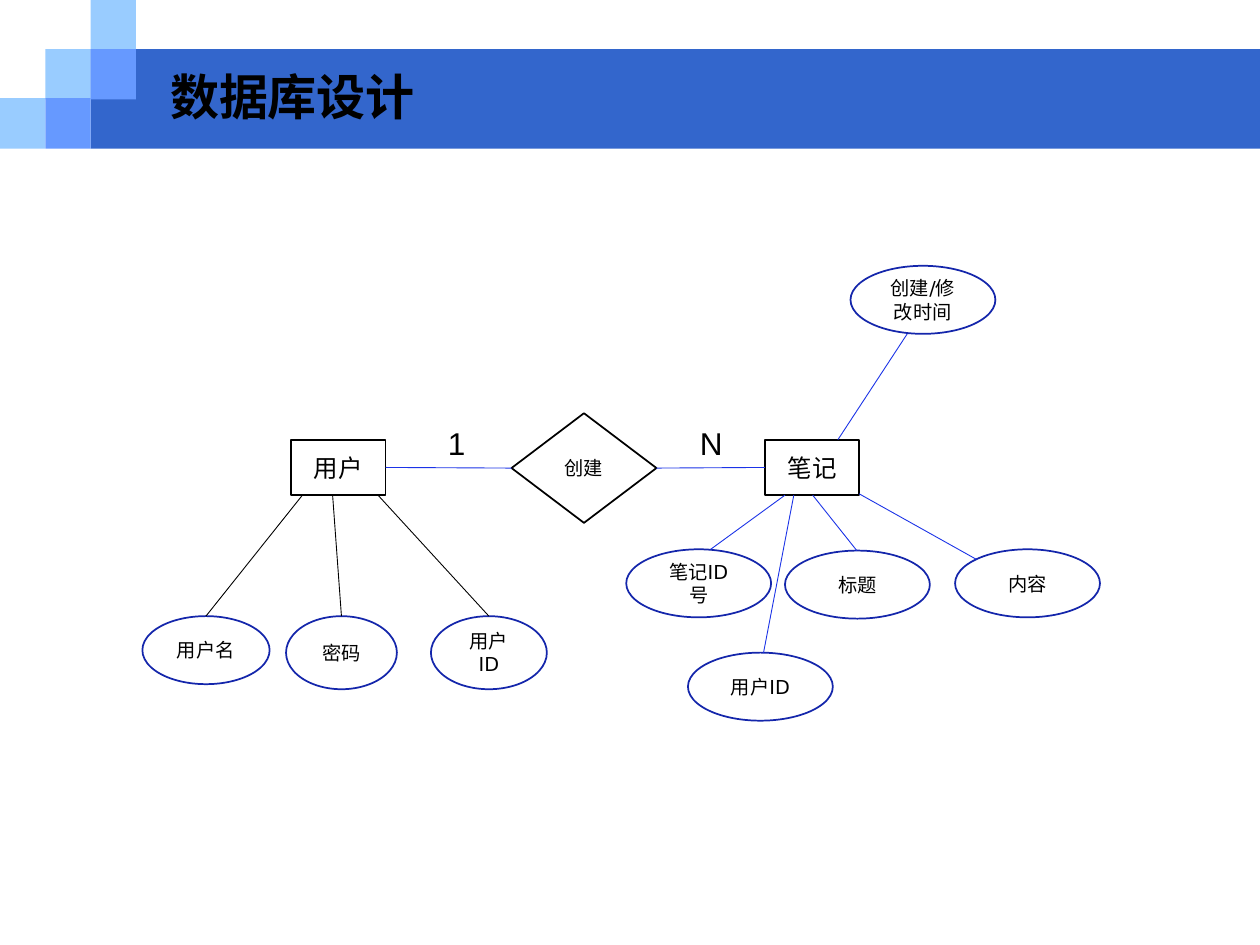
"""Build the database design slide with its entity-relationship diagram."""
from dataclasses import dataclass

from lxml.etree import SubElement
from pptx import Presentation
from pptx.dml.color import RGBColor as RGB
from pptx.enum.shapes import MSO_CONNECTOR as CONN, MSO_SHAPE as SHAPE
from pptx.enum.text import MSO_ANCHOR as ANCHOR, PP_ALIGN as ALIGN
from pptx.oxml.ns import qn
from pptx.util import Inches, Pt


@dataclass(frozen=True)
class Theme:
    band: RGB = RGB(0x33, 0x66, 0xCC)
    light: RGB = RGB(0x99, 0xCC, 0xFF)
    mid: RGB = RGB(0x66, 0x99, 0xFF)
    oval: RGB = RGB(0x14, 0x26, 0xAB)
    link: RGB = RGB(0x1B, 0x33, 0xE7)
    ink: RGB = RGB(0, 0, 0)
    paper: RGB = RGB(0xFF, 0xFF, 0xFF)
    head_font: str = "Arial"
    node_font: str = "DejaVu Sans"
    title: int = 28
    label: int = 18
    entity: int = 14
    attribute: int = 11
    outline: float = 1
    hairline: float = 0.5


T = Theme()


def write(sp, text, size, font=T.node_font, bold=False, align=ALIGN.CENTER, anchor=ANCHOR.MIDDLE):
    tf = sp.text_frame
    tf.word_wrap = True
    tf.vertical_anchor = anchor
    p = tf.paragraphs[0]
    p.alignment = align
    r = p.add_run()
    r.text = text
    r.font.size = Pt(size)
    r.font.name = font
    r.font.bold = bold
    r.font.color.rgb = T.ink


def add_box(kind, x, y, w, h, fill=T.paper, line=None):
    sp = s.shapes.add_shape(kind, Inches(x), Inches(y), Inches(w), Inches(h))
    sp.shadow.inherit = False
    sp.fill.solid()
    sp.fill.fore_color.rgb = fill
    if line is None:
        sp.line.fill.background()
    else:
        sp.line.color.rgb = line
        sp.line.width = Pt(T.outline)
    return sp


prs = Presentation()
prs.slide_width, prs.slide_height = Inches(10), Inches(7.5)
s = prs.slides.add_slide(prs.slide_layouts[5])

add_box(SHAPE.RECTANGLE, 0.72, 0.39, 9.28, 0.79, T.band)
tile_w, tile_h = 0.36, 0.4
tiles = [(0, 2, T.light), (1, 1, T.light), (2, 0, T.light), (2, 1, T.mid), (1, 2, T.mid)]
for col, row, color in tiles:
    add_box(SHAPE.RECTANGLE, col * tile_w, row * 0.39, tile_w, tile_h, color)

title = s.shapes.title
title.left, title.top, title.width, title.height = Inches(1.25), Inches(0.5), Inches(8.08), Inches(0.53)
write(title, "数据库设计", T.title, font=T.head_font, bold=True, align=ALIGN.LEFT)
title.element.getparent().append(title.element)

entities = []
for text, x in [("用户", 2.31), ("笔记", 6.07)]:
    sp = add_box(SHAPE.RECTANGLE, x, 3.49, 0.75, 0.44, line=T.ink)
    write(sp, text, T.entity)
    entities.append(sp)
user, note = entities

creates = add_box(SHAPE.DIAMOND, 4.06, 3.28, 1.15, 0.87, line=T.ink)
write(creates, "创建", T.attribute)

for text, x in [("1", 3.41), ("N", 5.43)]:
    tb = s.shapes.add_textbox(Inches(x), Inches(3.32), Inches(0.43), Inches(0.4))
    write(tb, text, T.label, font=T.head_font, anchor=ANCHOR.TOP)

links = [
    (3.06, 3.71, 4.06, 3.71, T.link, user, creates, 1),
    (5.21, 3.71, 6.07, 3.71, T.link, creates, note, 1),
]

user_attributes = [
    ("用户名", 1.13, 1.01, 0.54, 2.4),
    ("密码", 2.27, 0.88, 0.58, 2.64),
    ("用户ID", 3.42, 0.92, 0.58, 3.0),
]
for text, x, w, h, start_x in user_attributes:
    sp = add_box(SHAPE.OVAL, x, 4.89, w, h, line=T.oval)
    write(sp, text, T.attribute)
    links.append((start_x, 3.93, x + w / 2, 4.89, T.ink, None, sp, 0))

note_attributes = [
    ("笔记ID号", 4.97, 4.36, (6.23, 3.93, 5.64, 4.36)),
    ("标题", 6.23, 4.37, (6.45, 3.93, 6.8, 4.37)),
    ("内容", 7.58, 4.36, (6.82, 3.92, 7.75, 4.44)),
    ("用户ID", 5.46, 5.18, (6.3, 3.93, 6.06, 5.18)),
    ("创建/修改时间", 6.75, 2.11, (6.65, 3.49, 7.2, 2.65)),
]
for text, x, y, ends in note_attributes:
    sp = add_box(SHAPE.OVAL, x, y, 1.15, 0.54, line=T.oval)
    write(sp, text, T.attribute)
    links.append((*ends, T.link, None, None, None))

for x1, y1, x2, y2, color, source, target, side in links:
    cx = s.shapes.add_connector(CONN.STRAIGHT, Inches(x1), Inches(y1), Inches(x2), Inches(y2))
    cx.line.color.rgb = color
    cx.line.width = Pt(T.hairline)
    SubElement(cx.element.spPr, qn("a:effectLst"))
    if source is not None:
        cx.begin_connect(source, 3)
    if target is not None:
        cx.end_connect(target, side)

prs.save("out.pptx")
